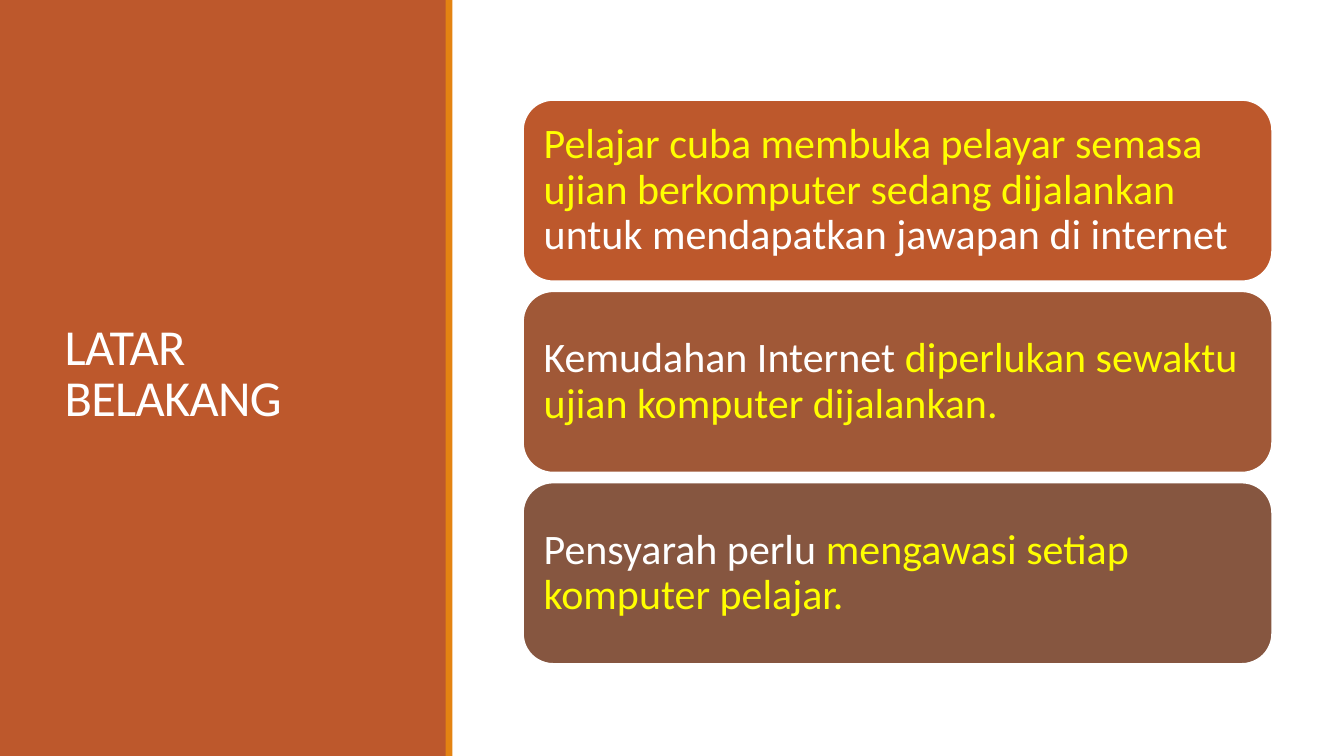
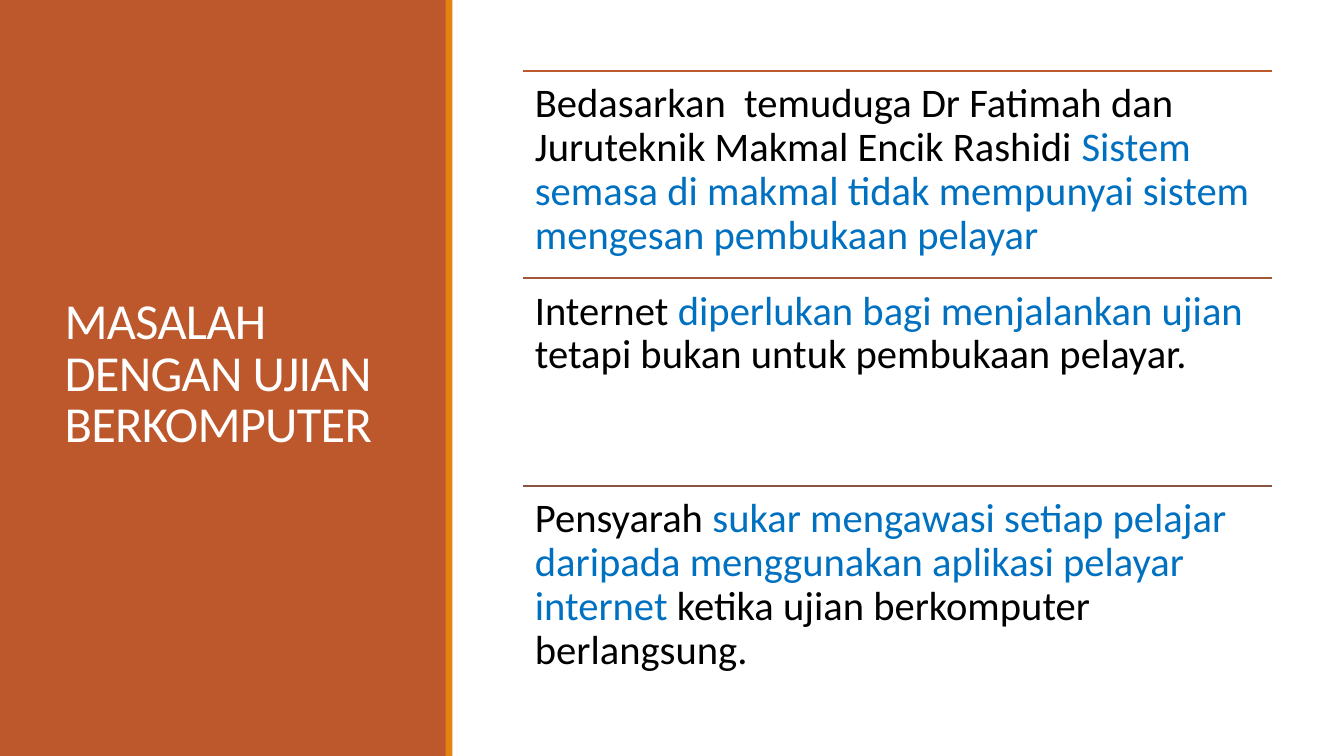
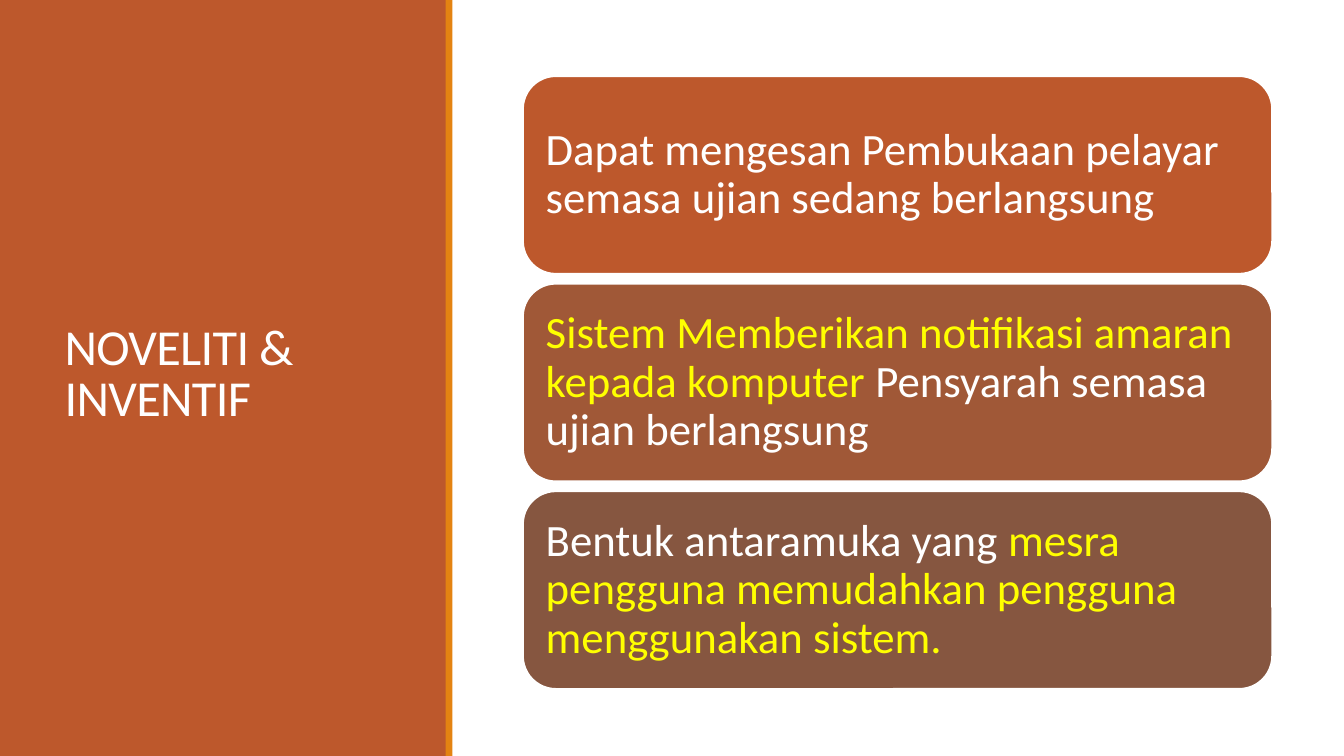
from lxml import etree
from pptx import Presentation
from pptx import util as u
from pptx.dml import color
from pptx.enum import shapes, text
from pptx.oxml import ns

# Shared style
FONT = "Calibri"
RUST, ORANGE, WHITE, BLACK = "BD582C", "E48312", "FFFFFF", "000000"
YELLOW, BLUE = "FFFF00", "0070C0"
ROW_COLORS = [RUST, "A05837", "865640"]

# Shared geometry, in cm
SLIDE_W, SLIDE_H = 33.87, 19.05
PANEL_W = 11.25
STRIPE_X, STRIPE_W = 11.23, 0.17
ROW_X, ROW_W = 13.18, 18.88
CARD_GAP = 0.25


def rgb(value):
    return color.RGBColor.from_string(value)


def add_block(s, kind, x, y, w, h, fill, line=None):
    sp = s.shapes.add_shape(kind, u.Cm(x), u.Cm(y), u.Cm(w), u.Cm(h))
    sp.shadow.inherit = False
    sp.fill.solid()
    sp.fill.fore_color.rgb = rgb(fill)
    if line:
        sp.line.color.rgb = rgb(line)
        sp.line.width = u.Pt(1.25)
    else:
        sp.line.fill.background()
    return sp


def add_box(s, x, y, w, h):
    return s.shapes.add_textbox(u.Cm(x), u.Cm(y), u.Cm(w), u.Cm(h))


def write(sp, runs, size, anchor, spacing=0.9, inset=None):
    """Fill a shape with one left-aligned paragraph of (text, colour) runs."""
    tf = sp.text_frame
    tf.word_wrap = True
    tf.vertical_anchor = anchor
    if inset is not None:
        tf.margin_left = tf.margin_right = u.Cm(inset)
        tf.margin_top = tf.margin_bottom = u.Cm(inset)
    p = tf.paragraphs[0]
    p.alignment = text.PP_ALIGN.LEFT
    p.line_spacing = spacing
    for words, hue in runs:
        r = p.add_run()
        r.text = words
        r.font.name = FONT
        r.font.size = u.Pt(size)
        r.font.color.rgb = rgb(hue)
    return p


def add_rule(s, y, hue):
    line = s.shapes.add_connector(shapes.MSO_CONNECTOR.STRAIGHT, u.Cm(ROW_X),
                                  u.Cm(y), u.Cm(ROW_X + ROW_W), u.Cm(y))
    line.line.color.rgb = rgb(hue)
    line.line.width = u.Pt(1.25)
    etree.SubElement(line._element.spPr, ns.qn("a:effectLst"))


def add_titled_slide(prs, title):
    """Blank slide with the side panel, its stripe and the title."""
    s = prs.slides.add_slide(prs.slide_layouts[6])
    rect = shapes.MSO_SHAPE.RECTANGLE
    add_block(s, rect, 0, 0, PANEL_W, SLIDE_H, RUST)
    add_block(s, rect, STRIPE_X, 0, STRIPE_W, SLIDE_H, ORANGE)
    p = write(add_box(s, 1.38, 1.45, 8.56, 16.03), [(title, WHITE)], 36,
              text.MSO_ANCHOR.MIDDLE, spacing=0.85)
    # Tighter letter spacing
    p.runs[0].font._element.set("spc", "-50")
    return s


def add_cards(s, rows, top, height, size, inset):
    for i, (runs, fill) in enumerate(zip(rows, ROW_COLORS)):
        y = top + i * (height + CARD_GAP)
        sp = add_block(s, shapes.MSO_SHAPE.ROUNDED_RECTANGLE,
                       ROW_X, y, ROW_W, height, fill, WHITE)
        write(sp, runs, size, text.MSO_ANCHOR.MIDDLE, inset=inset)


def add_ruled_rows(s, rows, top, height, size, inset):
    for i, (runs, hue) in enumerate(zip(rows, ROW_COLORS)):
        y = top + i * height
        add_rule(s, y, hue)
        write(add_box(s, ROW_X, y, ROW_W, height), runs, size,
              text.MSO_ANCHOR.TOP, inset=inset)


def main():
    prs = Presentation()
    prs.slide_width, prs.slide_height = u.Cm(SLIDE_W), u.Cm(SLIDE_H)

    # Background
    s = add_titled_slide(prs, "LATAR BELAKANG")
    add_cards(s, [
        [("Pelajar cuba membuka pelayar semasa ujian berkomputer sedang "
          "dijalankan ", YELLOW),
         ("untuk mendapatkan jawapan di internet", WHITE)],
        [("Kemudahan Internet ", WHITE),
         ("diperlukan sewaktu ujian komputer dijalankan.", YELLOW)],
        [("Pensyarah perlu ", WHITE),
         ("mengawasi setiap komputer pelajar.", YELLOW)],
    ], top=2.52, height=4.57, size=30, inset=0.3)

    # Problems
    s = add_titled_slide(prs, "MASALAH DENGAN UJIAN BERKOMPUTER")
    add_ruled_rows(s, [
        [("Bedasarkan  temuduga Dr Fatimah dan Juruteknik Makmal Encik "
          "Rashidi ", BLACK),
         ("Sistem semasa di makmal tidak mempunyai sistem mengesan "
          "pembukaan pelayar", BLUE)],
        [("Internet ", BLACK),
         ("diperlukan bagi menjalankan ujian ", BLUE),
         ("tetapi bukan untuk pembukaan pelayar.", BLACK)],
        [("Pensyarah ", BLACK),
         ("sukar mengawasi setiap pelajar daripada menggunakan aplikasi "
          "pelayar internet ", BLUE),
         ("ketika ujian berkomputer berlangsung.", BLACK)],
    ], top=1.78, height=5.23, size=29, inset=0.3)

    # Novelty
    s = add_titled_slide(prs, "NOVELITI & INVENTIF")
    add_cards(s, [
        [("Dapat mengesan Pembukaan pelayar semasa ujian sedang "
          "berlangsung", WHITE)],
        [("Sistem Memberikan notifikasi amaran kepada komputer ", YELLOW),
         ("Pensyarah semasa ujian berlangsung", WHITE)],
        [("Bentuk antaramuka yang ", WHITE),
         ("mesra pengguna memudahkan pengguna menggunakan sistem.", YELLOW)],
    ], top=1.92, height=4.98, size=32, inset=0.33)

    prs.save("out.pptx")


if __name__ == "__main__":
    main()
